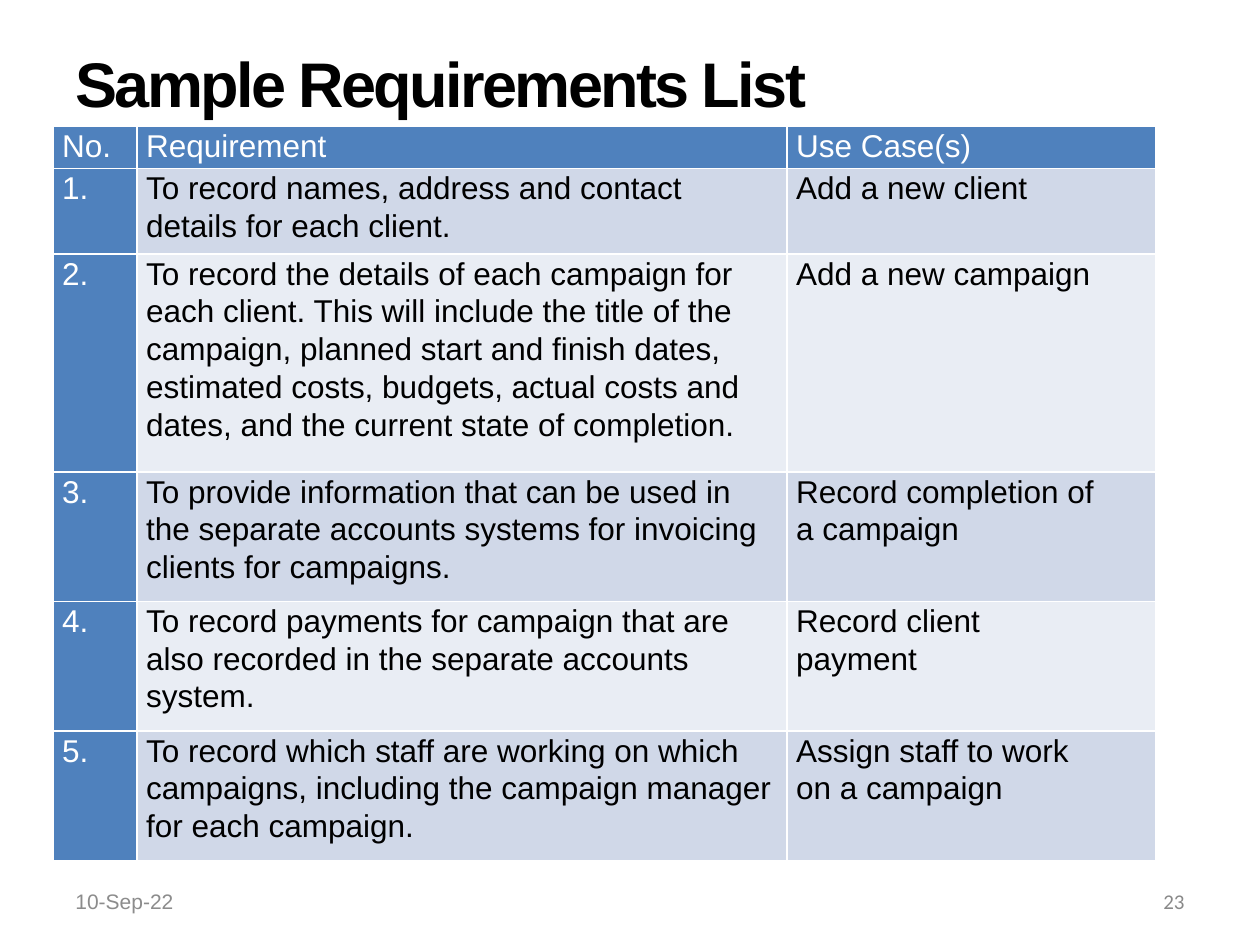
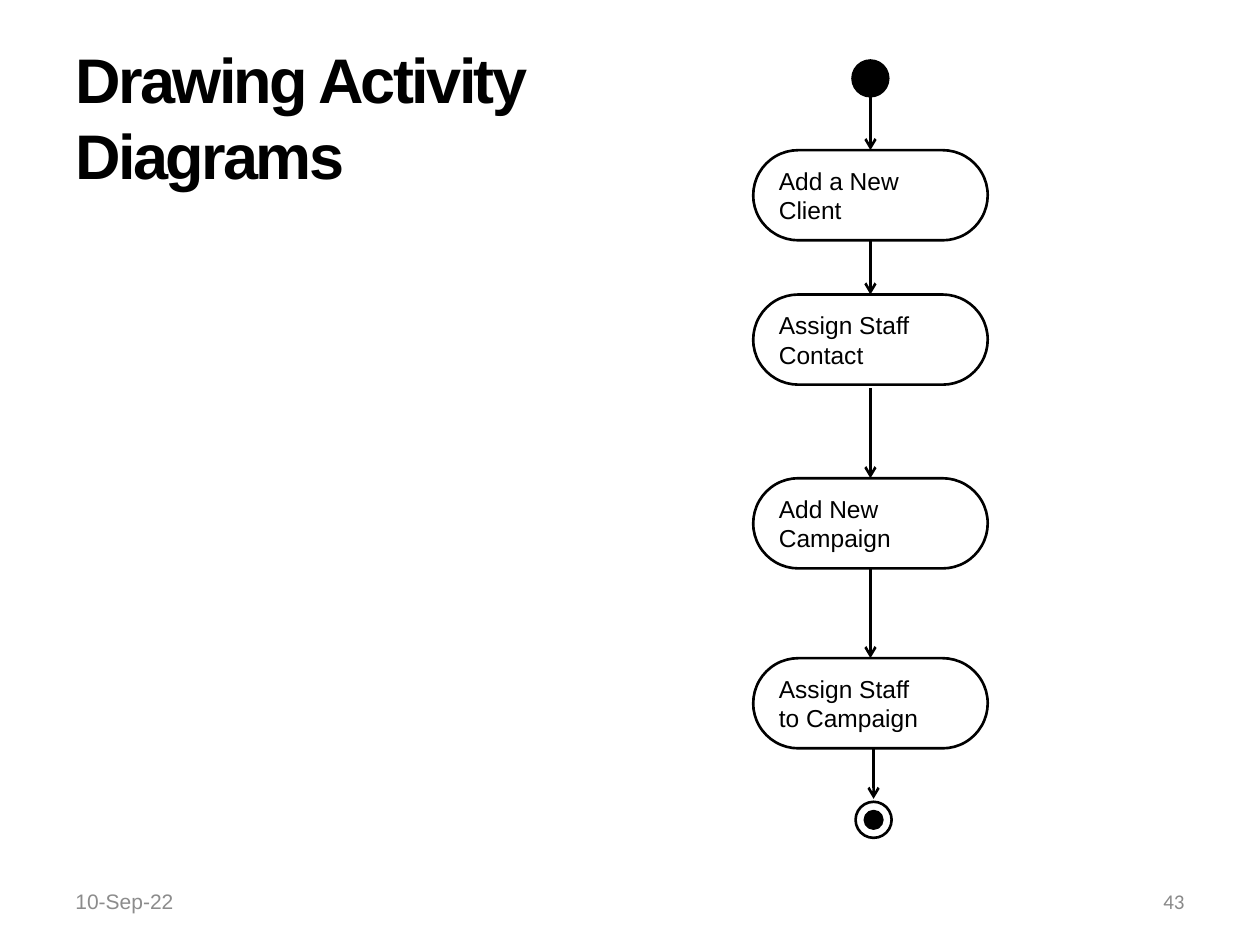
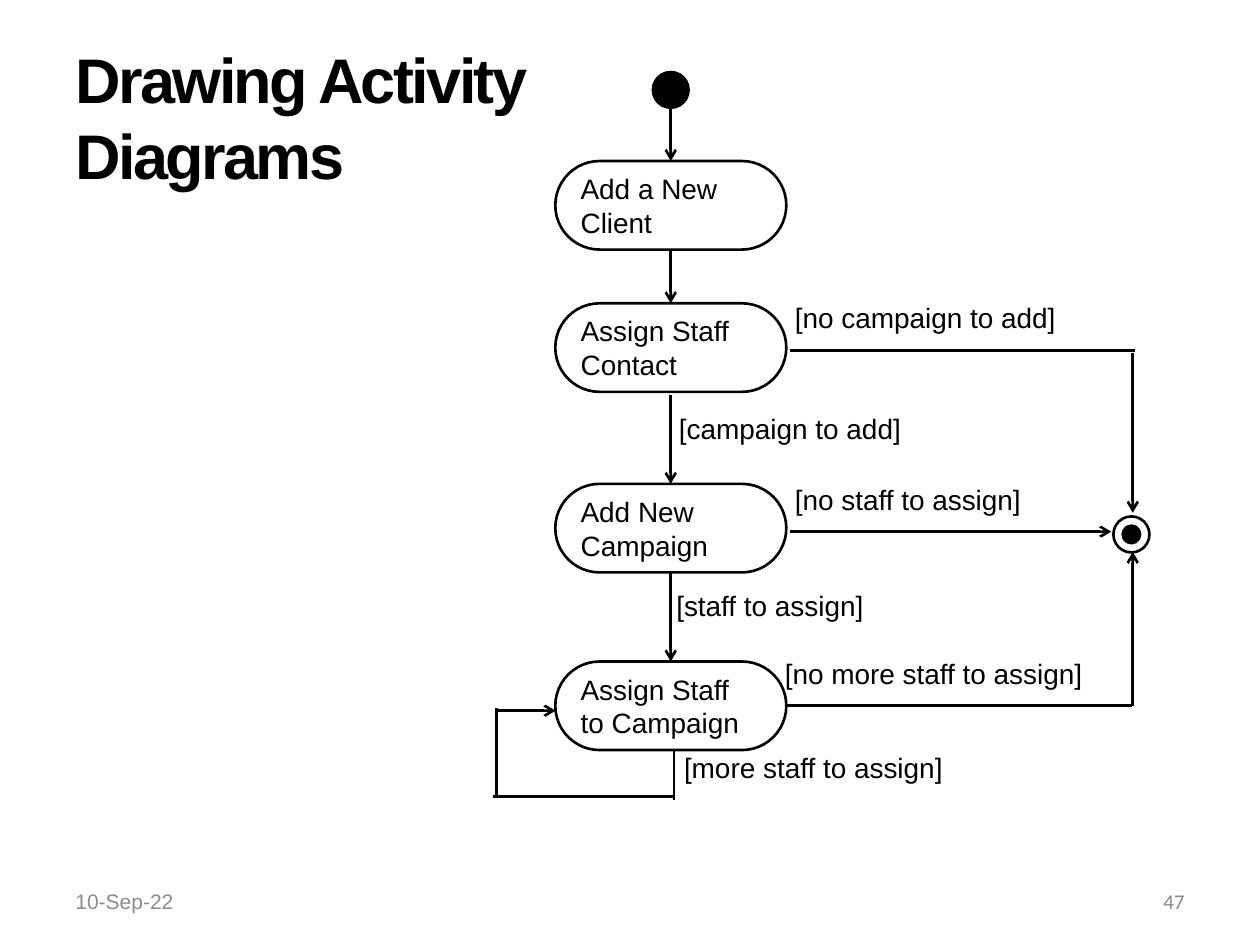
from lxml.etree import SubElement
from pptx import Presentation
from pptx.dml.color import RGBColor
from pptx.enum.shapes import MSO_CONNECTOR, MSO_SHAPE
from pptx.enum.text import MSO_ANCHOR, MSO_AUTO_SIZE, PP_ALIGN
from pptx.oxml.ns import qn
from pptx.util import Pt

# Shared look
BLACK, WHITE = "000000", "FFFFFF"
HEADER_BLUE = "4F81BD"
BAND_FILLS = ["D0D8E8", "E9EDF4"]
DATE_GREY, NUMBER_GREY = "8C8C8C", "898989"
BODY_FONT = "Arial"
LINE_WIDTH = 1.5
TITLE_LEFT, TITLE_TOP, TITLE_WIDTH = 36, 21.6, 648
START_SIZE, END_SIZE, END_DOT_SIZE = 20.4, 20.6, 10

# Requirements table
COLUMN_WIDTHS = [48, 371.5, 210.5]
ROW_HEIGHTS = [24.3, 49, 124.5, 74, 74, 74]
REQUIREMENTS = [
    ("No.", "Requirement", "Use Case(s)"),
    ("1.", "To record names, address and contact details for each client.",
     "Add a new client"),
    ("2.", "To record the details of each campaign for each client. This will "
     "include the title of the campaign, planned start and finish dates, "
     "estimated costs, budgets, actual costs and dates, and the current state "
     "of completion.", "Add a new campaign"),
    ("3.", "To provide information that can be used in the separate accounts "
     "systems for invoicing clients for campaigns.",
     "Record completion of\na campaign"),
    ("4.", "To record payments for campaign that are also recorded in the "
     "separate accounts system.", "Record client\npayment"),
    ("5.", "To record which staff are working on which campaigns, including "
     "the campaign manager for each campaign.",
     "Assign staff to work\non a campaign"),
]

# Activities, each with the gap between its edge and the arrow below
ACTIVITIES = [("Add a New\nClient", 0), ("Assign Staff\nContact", 2),
              ("Add New\nCampaign", 0), ("Assign Staff\nto Campaign", 0)]

# Guards and routes of the branching diagram
GUARDS = [
    ("[no campaign to add]", 447.1, 168.5, 184),
    ("[campaign to add]", 380.9, 231.8, 162),
    ("[no staff to assign]", 447.1, 272.2, 184),
    ("[staff to assign]", 379.4, 332.6, 160),
    ("[no more staff to assign]", 441.4, 371.5, 204),
    ("[more staff to assign]", 383.8, 425.5, 224),
]
ROUTES = [
    # x1, y1, x2, y2, has arrowhead
    (451.4, 200.2, 648.7, 200.2, False),
    (647.3, 201.6, 647.3, 293, True),
    (451.4, 303.8, 635, 303.8, True),
    (449.3, 403.2, 646.6, 403.2, False),
    (647.3, 403.2, 647.3, 315.4, True),
    (385.2, 428.4, 385.2, 457.2, False),
    (385.2, 455, 281.5, 455, False),
    (283.7, 455, 283.7, 404.6, False),
    (283.7, 406.1, 317.5, 406.1, True),
]


def color(hex_string):
    return RGBColor.from_string(hex_string)


def format_text(frame, size, hex_string=BLACK, font=BODY_FONT, bold=False,
                align=PP_ALIGN.LEFT, line_spacing=None, tracking=None):
    for para in frame.paragraphs:
        para.alignment = align
        para.line_spacing = line_spacing
        for span in para.runs:
            span.font.name = font
            span.font.size = Pt(size)
            span.font.bold = bold
            span.font.color.rgb = color(hex_string)
            if tracking is not None:
                span.font._element.set("spc", str(tracking))


def add_text(page, text, left, top, width, height, size,
             anchor=MSO_ANCHOR.TOP, **style):
    box = page.shapes.add_textbox(Pt(left), Pt(top), Pt(width), Pt(height))
    frame = box.text_frame
    frame.word_wrap = True
    frame.vertical_anchor = anchor
    frame.text = text
    format_text(frame, size, **style)


def add_page(deck, title, title_height, number):
    page = deck.slides.add_slide(deck.slide_layouts[5])
    heading = page.shapes.title
    heading.left, heading.top = Pt(TITLE_LEFT), Pt(TITLE_TOP)
    heading.width, heading.height = Pt(TITLE_WIDTH), Pt(title_height)
    frame = heading.text_frame
    frame.text = title
    frame.auto_size = MSO_AUTO_SIZE.NONE
    frame.vertical_anchor = MSO_ANCHOR.MIDDLE
    format_text(frame, 36, bold=True, tracking=-150)
    # Footer
    add_text(page, "10-Sep-22", 36, 500.5, 168, 28.8, 12, MSO_ANCHOR.MIDDLE,
             hex_string=DATE_GREY)
    add_text(page, number, 516, 500.5, 168, 28.8, 12, MSO_ANCHOR.MIDDLE,
             hex_string=NUMBER_GREY, font="Calibri", align=PP_ALIGN.RIGHT)
    return page


def add_borders(cell):
    properties = cell._tc.get_or_add_tcPr()
    for side in ("lnL", "lnR", "lnT", "lnB"):
        border = SubElement(properties, qn(f"a:{side}"), w=str(Pt(1)))
        fill = SubElement(border, qn("a:solidFill"))
        SubElement(fill, qn("a:srgbClr"), val=WHITE)


def add_requirements(page):
    frame = page.shapes.add_table(
        len(REQUIREMENTS), len(COLUMN_WIDTHS), Pt(30.3), Pt(72),
        Pt(sum(COLUMN_WIDTHS)), Pt(sum(ROW_HEIGHTS)))
    table = frame.table
    for column, width in zip(table.columns, COLUMN_WIDTHS):
        column.width = Pt(width)
    for row, height in zip(table.rows, ROW_HEIGHTS):
        row.height = Pt(height)
    for row_index, texts in enumerate(REQUIREMENTS):
        for column_index, text in enumerate(texts):
            cell = table.cell(row_index, column_index)
            is_header = row_index == 0 or column_index == 0
            cell.margin_left = cell.margin_right = Pt(5.2)
            cell.margin_top = cell.margin_bottom = 0
            add_borders(cell)
            cell.fill.solid()
            cell.fill.fore_color.rgb = color(
                HEADER_BLUE if is_header else BAND_FILLS[(row_index - 1) % 2])
            cell.text_frame.text = text
            format_text(cell.text_frame, 18, WHITE if is_header else BLACK,
                        line_spacing=1.07)


def add_outlined(page, preset, left, top, width, height, fill):
    shape = page.shapes.add_shape(preset, Pt(left), Pt(top), Pt(width),
                                  Pt(height))
    shape.shadow.inherit = False
    shape.fill.solid()
    shape.fill.fore_color.rgb = color(fill)
    shape.line.color.rgb = color(BLACK)
    shape.line.width = Pt(LINE_WIDTH)
    return shape


def add_circle(page, center_x, center_y, size, fill):
    add_outlined(page, MSO_SHAPE.OVAL, center_x - size / 2,
                 center_y - size / 2, size, size, fill)


def add_end(page, center_x, center_y):
    add_circle(page, center_x, center_y, END_SIZE, WHITE)
    add_circle(page, center_x, center_y, END_DOT_SIZE, BLACK)


def add_activity(page, text, left, top, width, height, size):
    node = add_outlined(page, MSO_SHAPE.ROUNDED_RECTANGLE, left, top, width,
                        height, WHITE)
    node.adjustments[0] = 0.5
    frame = node.text_frame
    frame.word_wrap = True
    frame.vertical_anchor = MSO_ANCHOR.MIDDLE
    frame.text = text
    format_text(frame, size)


def add_line(page, x1, y1, x2, y2, arrow=True):
    line = page.shapes.add_connector(MSO_CONNECTOR.STRAIGHT, Pt(x1), Pt(y1),
                                     Pt(x2), Pt(y2))
    line.line.color.rgb = color(BLACK)
    line.line.width = Pt(LINE_WIDTH)
    if arrow:
        SubElement(line.line._get_or_add_ln(), qn("a:tailEnd"), type="arrow")
    SubElement(line._element.spPr, qn("a:effectLst"))


def add_flow(page, center_x, start_y, tops, width, height, size):
    """Start mark and a column of activities, joined by arrows."""
    add_circle(page, center_x, start_y, START_SIZE, BLACK)
    arrow_start = start_y + START_SIZE / 2
    for (text, gap), top in zip(ACTIVITIES, tops):
        add_line(page, center_x, arrow_start, center_x, top)
        add_activity(page, text, center_x - width / 2, top, width, height,
                     size)
        arrow_start = top + height + gap


def main():
    deck = Presentation()
    deck.slide_width, deck.slide_height = Pt(720), Pt(540)

    # Requirements
    page = add_page(deck, "Sample Requirements List", 50.4, "23")
    add_requirements(page)

    # Simple sequence
    diagram_title = "Drawing Activity\vDiagrams"
    page = add_page(deck, diagram_title, 90, "43")
    add_flow(page, 497.4, 44.8, [85.8, 168.3, 273.3, 376.1], 134, 51.5, 14)
    add_line(page, 499.2, 427.6, 499.2, 456.5)
    add_end(page, 499.2, 468.5)

    # Sequence with guards
    page = add_page(deck, diagram_title, 90, "47")
    add_flow(page, 383.3, 51.4, [92, 173.3, 276.5, 378], 132, 50.6, 16)
    for route in ROUTES:
        add_line(page, *route)
    add_end(page, 646.5, 305.4)
    for text, left, top, width in GUARDS:
        add_text(page, text, left, top, width, 26.6, 16)

    deck.save("out.pptx")


if __name__ == "__main__":
    main()
